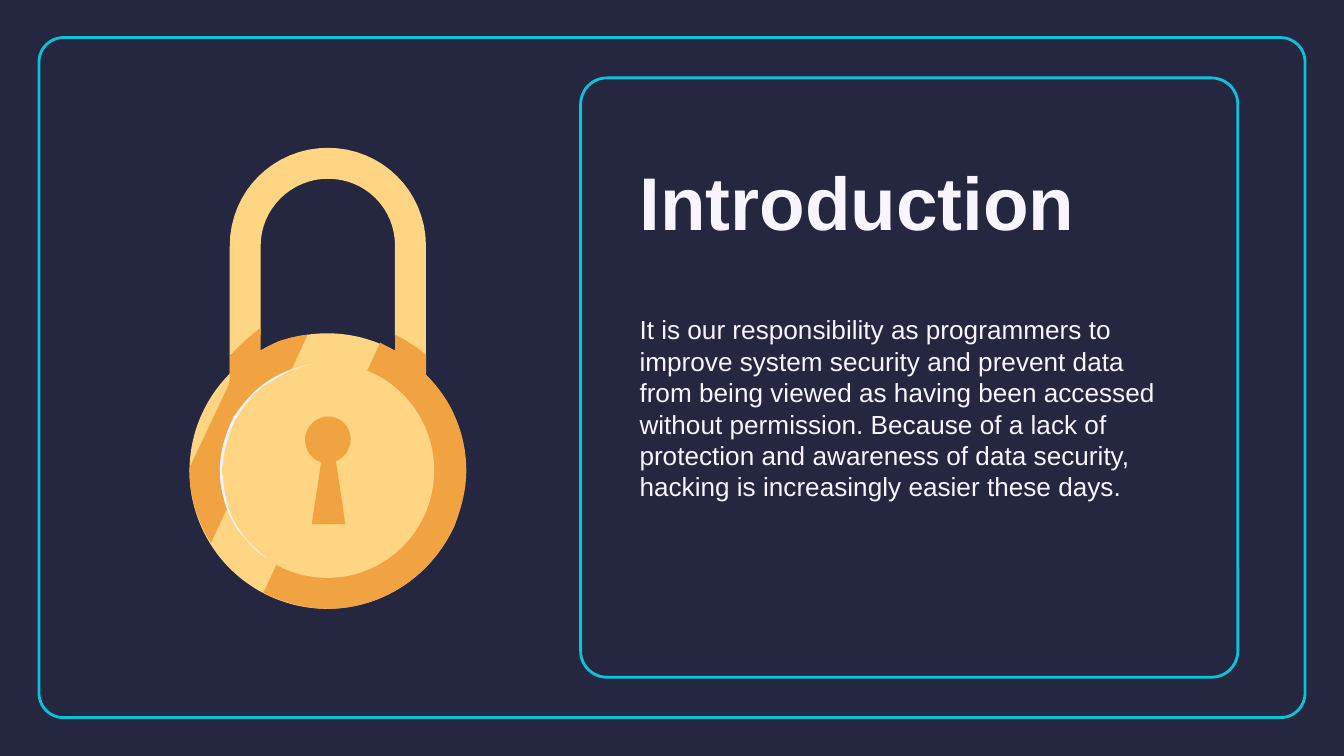
"""Build the introduction slide with a padlock and a framed text panel."""
from pptx import Presentation
from pptx.dml.color import RGBColor
from pptx.enum.shapes import MSO_SHAPE as Shape
from pptx.enum.text import MSO_ANCHOR as Anchor
from pptx.util import Inches, Pt

NAVY, CYAN, WHITE = "252640", "0BC4D9", "F8F5FF"
GOLD, ORANGE = "FED583", "F2A341"
CURVE_STEPS = 16

prs = Presentation()
prs.slide_width, prs.slide_height = Inches(10), Inches(10 * 9 / 16)
slide = prs.slides.add_slide(prs.slide_layouts[6])
slide.background.fill.solid()
slide.background.fill.fore_color.rgb = RGBColor.from_string(NAVY)


def paint(shape, fill=None, line=None):
    shape.shadow.inherit = False
    for part, color in ((shape.fill, fill), (shape.line.fill, line)):
        if color:
            part.solid()
            part.fore_color.rgb = RGBColor.from_string(color)
        else:
            part.background()
    if line:
        shape.line.width = Pt(1.5)


def add_text(text, box, size, bold=False, bottom=0.1):
    frame = slide.shapes.add_textbox(*map(Inches, box)).text_frame
    frame.word_wrap = True
    frame.vertical_anchor = Anchor.MIDDLE
    frame.margin_left = frame.margin_right = frame.margin_top = Inches(0.1)
    frame.margin_bottom = Inches(bottom)
    run = frame.paragraphs[0].add_run()
    run.text = text
    run.font.name, run.font.size, run.font.bold = "Arial", Pt(size), bold
    run.font.color.rgb = RGBColor.from_string(WHITE)


for box, corner in (((0.29, 0.28, 9.42, 5.06), 0.036), ((4.32, 0.58, 4.89, 4.46), 0.044)):
    border = slide.shapes.add_shape(Shape.ROUNDED_RECTANGLE, *map(Inches, box))
    border.adjustments[0] = corner
    paint(border, line=CYAN)

# Each outline step is a point, or two control points and an end point.
shackle = [
    (1.71, 2.81), (1.71, 1.83), (1.71, 1.42, 2.04, 1.1, 2.44, 1.1),
    (2.84, 1.1, 3.17, 1.42, 3.17, 1.83), (3.17, 2.65),
    (3.1, 2.59, 3.02, 2.54, 2.94, 2.5), (2.94, 1.83),
    (2.94, 1.55, 2.72, 1.33, 2.44, 1.33), (2.17, 1.33, 1.94, 1.55, 1.94, 1.83),
    (1.94, 2.49), (1.86, 2.54, 1.78, 2.59, 1.71, 2.65),
]
left_shade = [
    (1.94, 2.44), (1.86, 2.5, 1.78, 2.57, 1.71, 2.65), (1.71, 2.86),
    (1.73, 2.82, 1.75, 2.8, 1.77, 2.77), (1.83, 2.72, 1.88, 2.66, 1.94, 2.62),
]
right_shade = [
    (2.94, 2.49), (2.94, 2.62), (3.03, 2.67, 3.1, 2.73, 3.17, 2.81),
    (3.17, 2.64), (3.1, 2.58, 3.02, 2.53, 2.94, 2.49),
]
left_rim = [
    (1.57, 4.04), (1.47, 3.88, 1.41, 3.7, 1.41, 3.5), (1.41, 3.48), (1.77, 2.72),
    (1.83, 2.68, 1.88, 2.64, 1.94, 2.61), (1.98, 2.58, 2.03, 2.56, 2.07, 2.54),
    (2.13, 2.52, 2.2, 2.5, 2.29, 2.49),
]
right_rim = [
    (2.44, 4.53), (2.27, 4.53, 2.1, 4.48, 1.96, 4.41), (2.83, 2.55),
    (2.88, 2.58, 2.93, 2.6, 2.98, 2.63), (3.05, 2.67, 3.11, 2.72, 3.17, 2.79),
    (3.36, 2.97, 3.47, 3.23, 3.47, 3.5),
    (3.47, 3.65, 3.43, 3.79, 3.38, 3.92), (3.36, 3.96),
    (3.19, 4.29, 2.84, 4.53, 2.44, 4.53),
]
keyhole = [
    (2.44, 3.1), (2.35, 3.1, 2.27, 3.18, 2.27, 3.27),
    (2.27, 3.35, 2.32, 3.42, 2.39, 3.44), (2.32, 3.9), (2.57, 3.9), (2.5, 3.43),
    (2.56, 3.41, 2.61, 3.34, 2.61, 3.27), (2.61, 3.18, 2.54, 3.1, 2.44, 3.1),
]
glint = [
    (2.32, 2.71), (2.16, 2.74, 2.01, 2.81, 1.9, 2.91),
    (1.84, 2.97, 1.79, 3.03, 1.74, 3.1), (1.71, 3.16, 1.68, 3.24, 1.66, 3.31),
    (1.62, 3.47, 1.63, 3.63, 1.69, 3.79), (1.72, 3.86, 1.75, 3.93, 1.81, 3.99),
    (1.86, 4.05, 1.91, 4.11, 1.98, 4.15), (1.85, 4.05, 1.75, 3.93, 1.7, 3.78),
    (1.68, 3.7, 1.66, 3.63, 1.66, 3.55), (1.65, 3.53, 1.65, 3.51, 1.65, 3.49),
    (1.66, 3.44), (1.66, 3.4, 1.67, 3.36, 1.68, 3.32),
    (1.7, 3.25, 1.72, 3.17, 1.76, 3.11), (1.8, 3.04, 1.85, 2.98, 1.9, 2.92),
    (1.92, 2.91, 1.93, 2.9, 1.95, 2.88), (2.05, 2.82),
    (2.06, 2.81, 2.08, 2.8, 2.1, 2.79), (2.17, 2.75, 2.24, 2.73, 2.32, 2.71),
]
lock_body = (1.41, 2.48, 2.05, 2.05)
lock_face = (1.64, 2.7, 1.59, 1.6)

for part, color in (
    (lock_body, GOLD), (shackle, GOLD), (left_shade, ORANGE), (right_shade, ORANGE),
    (left_rim, ORANGE), (right_rim, ORANGE), (lock_face, GOLD),
    (keyhole, ORANGE), (glint, WHITE),
):
    if part in (lock_body, lock_face):
        paint(slide.shapes.add_shape(Shape.OVAL, *map(Inches, part)), fill=color)
        continue
    points = [part[0]]
    for step in part[1:]:
        if len(step) == 2:
            points.append(step)
            continue
        (x0, y0), (x1, y1, x2, y2, x3, y3) = points[-1], step
        for i in range(1, CURVE_STEPS + 1):
            t = i / CURVE_STEPS
            a, b, c, d = (1 - t) ** 3, 3 * t * (1 - t) ** 2, 3 * t * t * (1 - t), t ** 3
            points.append((a * x0 + b * x1 + c * x2 + d * x3,
                           a * y0 + b * y1 + c * y2 + d * y3))
    corners = [(Inches(x), Inches(y)) for x, y in points]
    outline = slide.shapes.build_freeform(*corners[0])
    outline.add_line_segments(corners[1:], close=True)
    paint(outline.convert_to_shape(), fill=color)

add_text(
    "It is our responsibility as programmers to improve system security and prevent data "
    "from being viewed as having been accessed without permission. Because of a lack of "
    "protection and awareness of data security, hacking is increasingly easier these days.",
    (4.66, 2.04, 4.21, 2.49), 14, bottom=0.6,
)
add_text("Introduction", (4.66, 1.11, 3.96, 0.76), 40, bold=True)

prs.save("out.pptx")
